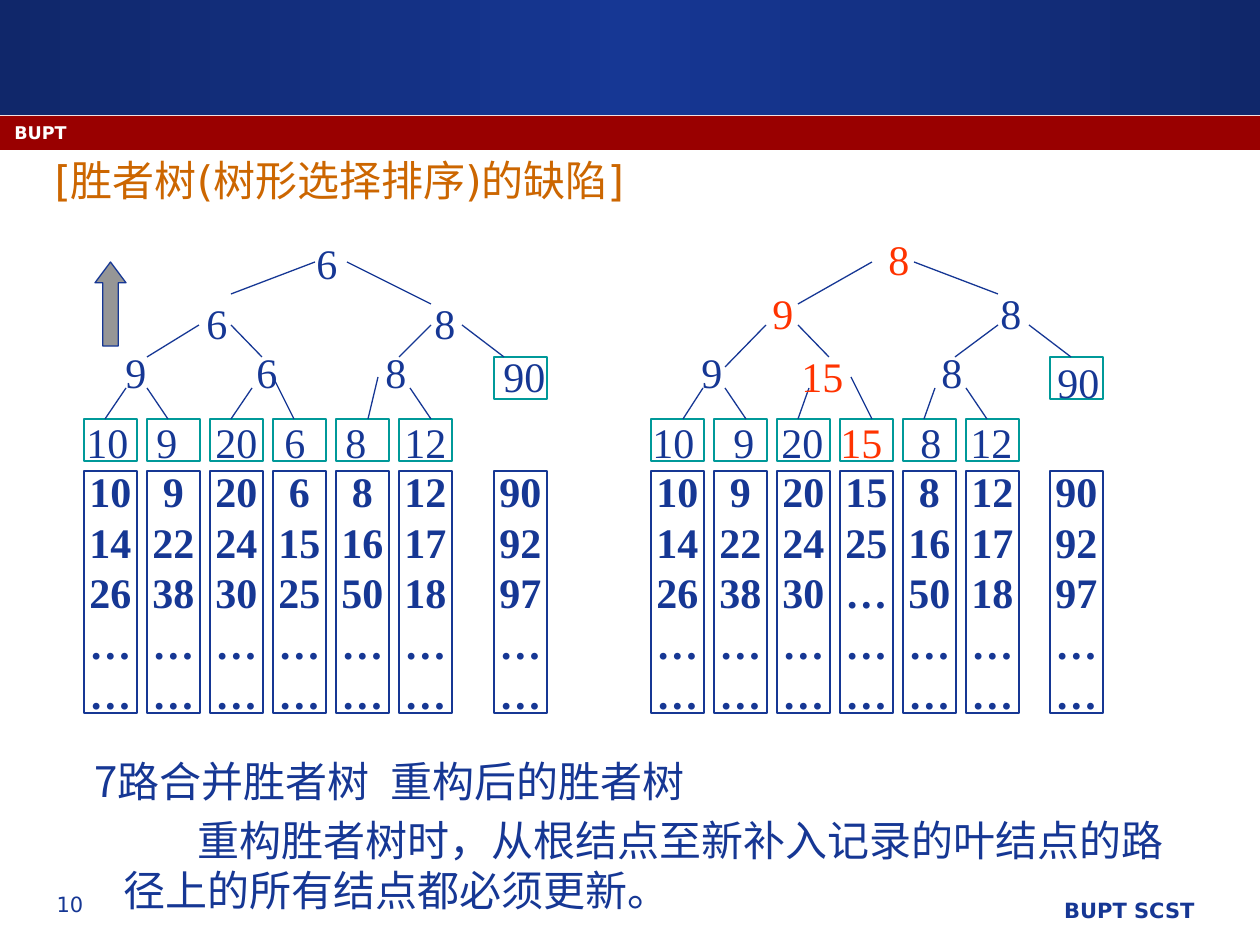
from copy import deepcopy

from lxml import etree
from pptx import Presentation
from pptx import util as u
from pptx.dml.color import RGBColor
from pptx.enum import shapes, text
from pptx.oxml import ns

PX = 914400 / 126
COLORS = {"navy": "163794", "dark": "10276A", "red": "990000", "white": "FFFFFF",
          "title": "CC6600", "teal": "009999", "gray": "969696", "new": "FF3300"}
SANS, CJK, SERIF = "DejaVu Sans", "Noto Sans CJK SC", "Times New Roman"
LEFT, CENTER, RIGHT = text.PP_ALIGN.LEFT, text.PP_ALIGN.CENTER, text.PP_ALIGN.RIGHT
COL_W, COL_STEP, COL_Y, COL_H, LEAF_Y, LEAF_H, LAST_LEAF_Y = 53, 63, 471, 242, 419, 42, 357

WINNER_TREE = {
    "x": 84, "last_x": 494,
    "runs": ["10 14 26 … …", "9 22 38 … …", "20 24 30 … …", "6 15 25 … …",
             "8 16 50 … …", "12 17 18 … …", "90 92 97 … …"],
    "edges": [(105, 419, 126, 388), (168, 419, 147, 388), (252, 388, 231, 419),
              (272, 375, 294, 419), (378, 377, 368, 419), (410, 388, 431, 419),
              (147, 357, 199, 325), (231, 325, 262, 357), (431, 325, 399, 357),
              (462, 325, 504, 357), (315, 262, 231, 294), (347, 262, 431, 304)],
    "keys": [("6", 304, 231), ("6", 194, 291), ("8", 422, 291), ("9", 113, 340),
             ("6", 244, 340), ("8", 373, 340), ("90", 491, 344), ("10", 74, 410),
             ("9", 144, 410), ("20", 203, 410), ("6", 272, 410), ("8", 333, 410),
             ("12", 392, 410)],
    "updated": [],
}
REBUILT_TREE = {
    "x": 651, "last_x": 1050,
    "runs": ["10 14 26 … …", "9 22 38 … …", "20 24 30 … …", "15 25 … … …",
             "8 16 50 … …", "12 17 18 … …", "90 92 97 … …"],
    "edges": [(683, 419, 703, 388), (725, 388, 746, 419), (809, 388, 798, 419),
              (851, 377, 872, 419), (935, 388, 924, 419), (966, 388, 987, 419),
              (766, 325, 725, 367), (798, 325, 829, 357), (998, 325, 955, 357),
              (1029, 325, 1071, 357), (872, 262, 798, 304), (914, 262, 998, 294)],
    "keys": [("8", 988, 281), ("9", 689, 340), ("8", 929, 340), ("90", 1045, 350),
             ("10", 640, 410), ("9", 721, 410), ("20", 769, 410), ("8", 908, 410),
             ("12", 958, 410)],
    "updated": [("8", 876, 227), ("9", 760, 281), ("15", 789, 344), ("15", 828, 410)],
}


def px(n):
    """Turn pixels into EMU."""
    return u.Emu(round(n * PX))


def rgb(name):
    """Look up a named colour."""
    return RGBColor.from_string(COLORS[name])


def set_all(obj, **values):
    """Set each given attribute on an object."""
    for name, value in values.items():
        setattr(obj, name, value)


def write(p, words, color="navy", align=LEFT, **font):
    """Put one formatted run into a paragraph."""
    p.alignment = align
    r = p.add_run()
    r.text = words
    set_all(r.font, **{"name": SERIF, "size": u.Pt(24), "bold": False, **font})
    r.font.color.rgb = rgb(color)


def add_shape(s, kind, box, fill=None, line=None):
    """Draw a preset shape with an optional fill and outline."""
    sp = s.shapes.add_shape(kind, *map(px, box))
    sp.shadow.inherit = False
    if fill:
        sp.fill.solid()
        sp.fill.fore_color.rgb = rgb(fill)
    else:
        sp.fill.background()
    if line:
        sp.line.color.rgb = rgb(line)
        sp.line.width = u.Pt(0.75)
    else:
        sp.line.fill.background()
    return sp


def add_rect(s, box, **look):
    """Draw a rectangle."""
    return add_shape(s, shapes.MSO_SHAPE.RECTANGLE, box, **look)


def add_label(s, words, box, wrap=False, **style):
    """Add a one-line text box."""
    tf = s.shapes.add_textbox(*map(px, box)).text_frame
    tf.word_wrap = wrap
    write(tf.paragraphs[0], words, **style)


def add_edge(s, x1, y1, x2, y2):
    """Draw a tree edge."""
    line = s.shapes.add_connector(shapes.MSO_CONNECTOR.STRAIGHT, *map(px, (x1, y1, x2, y2)))
    line.line.color.rgb = rgb("navy")
    line.line.width = u.Pt(0.75)
    etree.SubElement(line._element.spPr, ns.qn("a:effectLst"))


def add_column(s, x, values):
    """Draw one sorted run as a column of values."""
    tf = add_rect(s, (x, COL_Y, COL_W, COL_H), line="navy").text_frame
    set_all(tf, word_wrap=False, vertical_anchor=text.MSO_ANCHOR.MIDDLE)
    for i, value in enumerate(values):
        p = tf.add_paragraph() if i else tf.paragraphs[0]
        write(p, value, align=CENTER, bold=True)


def add_tree(s, tree):
    """Draw a tournament tree above its sorted runs."""
    last = len(tree["runs"]) - 1
    for i, run in enumerate(tree["runs"]):
        x = tree["last_x"] if i == last else tree["x"] + i * COL_STEP
        y = LAST_LEAF_Y if i == last else LEAF_Y
        add_column(s, x, run.split())
        add_rect(s, (x, y, COL_W, LEAF_H), line="teal")
    for edge in tree["edges"]:
        add_edge(s, *edge)
    for group, color in (("keys", "navy"), ("updated", "new")):
        for key, x, y in tree[group]:
            add_label(s, key, (x, y, 47 if len(key) == 1 else 68, 63), color=color)


def add_banner(s):
    """Draw the gradient banner and the bar below it."""
    sp = add_rect(s, (0, 0, 1260, 115))
    sp.fill.gradient()
    sp.fill.gradient_angle = 0
    first = next(sp._element.iter(ns.qn("a:gs")))
    first.addnext(deepcopy(first))
    for stop, (pos, color) in zip(sp.fill.gradient_stops,
                                  ((0, "dark"), (0.5, "navy"), (1, "dark"))):
        stop.position = pos
        stop.color.rgb = rgb(color)
    add_rect(s, (0, 116, 1260, 34), fill="red")
    add_label(s, "BUPT", (2, 116, 1166, 32), wrap=True, color="white",
              name=SANS, size=u.Pt(10), bold=True)


def add_footer(s):
    """Add the page number and the footer."""
    add_label(s, "BUPT SCST", (530, 891, 677, 44), wrap=True, align=RIGHT,
              name=SANS, size=u.Pt(12), bold=True)
    add_label(s, "10", (15, 885, 110, 44), wrap=True, align=CENTER,
              name=SANS, size=u.Pt(12))


def place(sp, box):
    """Move a placeholder and return its text frame."""
    set_all(sp, **dict(zip(("left", "top", "width", "height"), map(px, box))))
    tf = sp.text_frame
    set_all(tf, word_wrap=True, auto_size=text.MSO_AUTO_SIZE.NONE)
    return tf


def indent(p, margin, first, tab=None):
    """Set a paragraph's indents, with no bullet and an optional tab stop."""
    pPr = p._p.get_or_add_pPr()
    pPr.set("marL", str(px(margin)))
    pPr.set("indent", str(px(first)))
    etree.SubElement(pPr, ns.qn("a:buNone"))
    if tab:
        tabs = etree.SubElement(pPr, ns.qn("a:tabLst"))
        etree.SubElement(tabs, ns.qn("a:tab"), pos=str(px(tab)), algn="l")


def fill_placeholders(s):
    """Write the title, the tree captions and the conclusion."""
    tf = place(s.shapes.title, (42, 164, 1166, 32))
    tf.vertical_anchor = text.MSO_ANCHOR.MIDDLE
    write(tf.paragraphs[0], "[胜者树(树形选择排序)的缺陷]", color="title", name=SANS)

    tf = place(s.placeholders[1], (63, 749, 1124, 158))
    captions, conclusion = tf.paragraphs[0], tf.add_paragraph()
    captions.space_before = u.Pt(0)
    conclusion.space_before = u.Pt(4.8)
    indent(captions, 0, 19, tab=473)
    indent(conclusion, 48, 74)
    write(captions, "7路合并胜者树\t重构后的胜者树", name=CJK)
    write(conclusion, "重构胜者树时，从根结点至新补入记录的叶结点的路径上的所有结点都必须更新。")


def main():
    """Build the slide."""
    prs = Presentation()
    set_all(prs, slide_width=px(1260), slide_height=px(945))
    s = prs.slides.add_slide(prs.slide_layouts[1])
    add_banner(s)
    add_footer(s)
    fill_placeholders(s)
    add_tree(s, WINNER_TREE)
    add_tree(s, REBUILT_TREE)
    arrow = add_shape(s, shapes.MSO_SHAPE.UP_ARROW, (95, 262, 31, 84), fill="gray", line="navy")
    arrow.adjustments[1] = 0.67
    prs.save("out.pptx")


if __name__ == "__main__":
    main()
